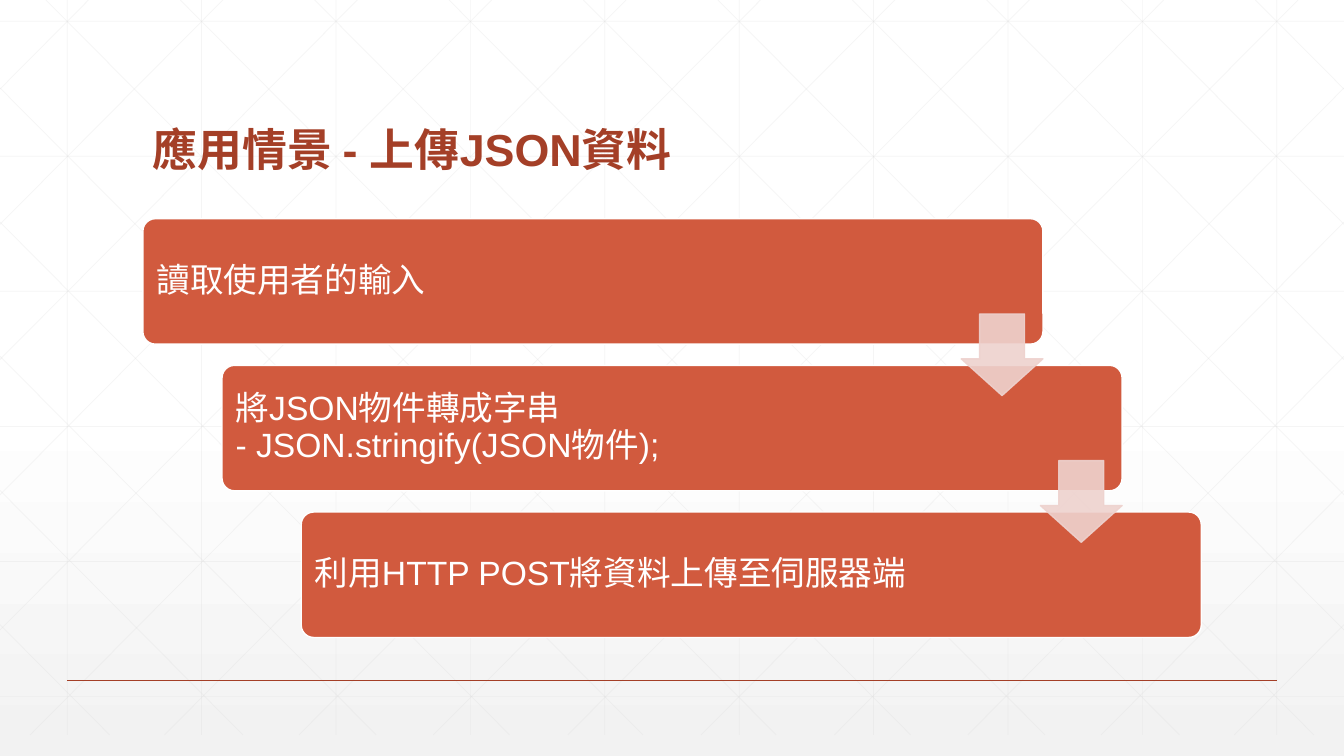
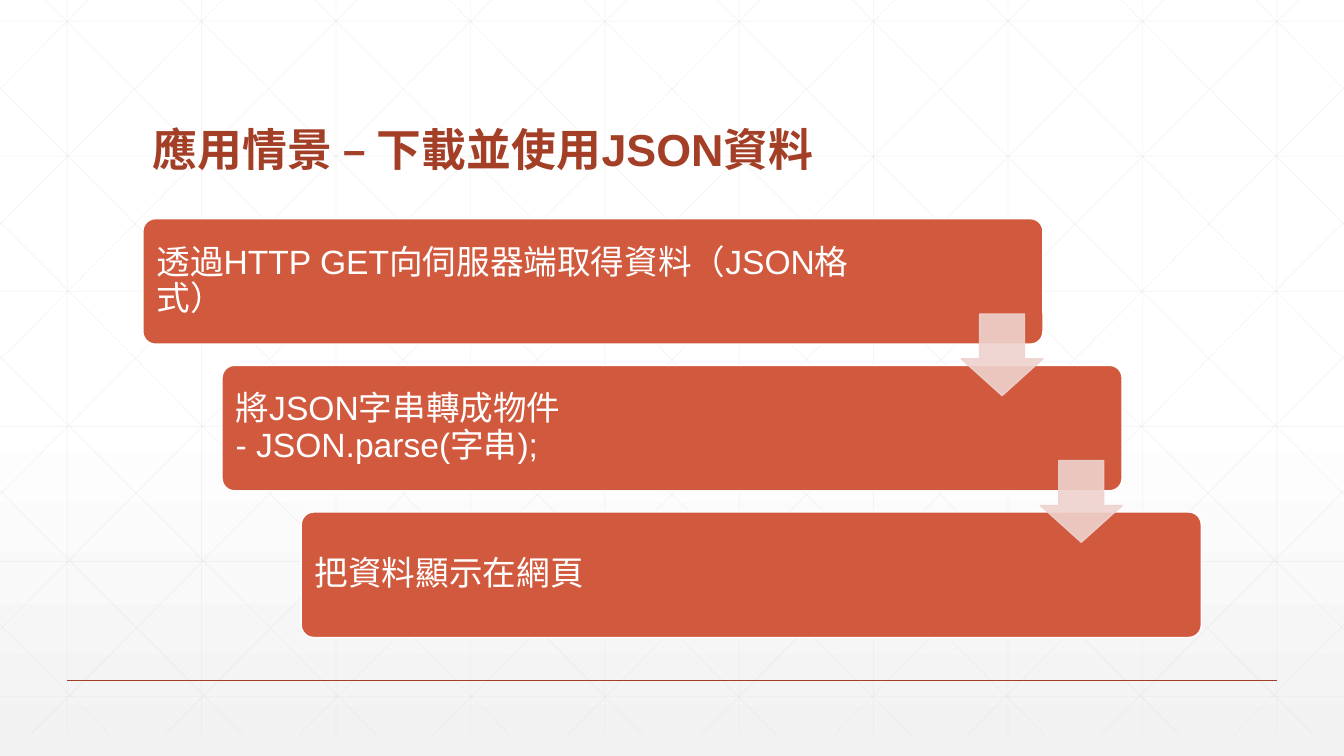
from lxml import etree
from pptx import Presentation
from pptx.dml.color import RGBColor
from pptx.enum.shapes import MSO_CONNECTOR, MSO_SHAPE
from pptx.enum.text import MSO_ANCHOR, MSO_AUTO_SIZE, PP_ALIGN
from pptx.oxml.ns import qn
from pptx.util import Inches, Pt

STRAIGHT = MSO_CONNECTOR.STRAIGHT
ROUNDED, DOWN_ARROW = MSO_SHAPE.ROUNDED_RECTANGLE, MSO_SHAPE.DOWN_ARROW
BOTTOM, MIDDLE = MSO_ANCHOR.BOTTOM, MSO_ANCHOR.MIDDLE
LEFT, NO_AUTOFIT = PP_ALIGN.LEFT, MSO_AUTO_SIZE.NONE

FONT = "Arial"
COLORS = {
    "white": "FFFFFF",
    "mist": "F2F2F2",
    "pattern": "D9D9D9",
    "title": "A43F27",
    "step": "D15A3E",
    "arrow": "EED2CE",
}
WIDTH, HEIGHT = Inches(13.33), Inches(7.5)

# All positions and sizes are percentages of the slide
TITLE_BOX = (10.63, 7.33, 78.75, 16.67)
STEP_LEFT, STEP_TOP = 10.63, 28.93
STEP_WIDTH, STEP_HEIGHT = 66.97, 16.6
STEP_SHIFT, STEP_PITCH = 5.89, 19.4
ARROW_WIDTH, ARROW_HEIGHT = 6.08, 10.8
PATTERN_TOP, PATTERN_BOTTOM = -2.8, 97.2
DIAGONAL_RUN = 55.9

SLIDES = [
    ("應用情景 - 上傳JSON資料", [
        "讀取使用者的輸入",
        "將JSON物件轉成字串 \n- JSON.stringify(JSON物件);",
        "利用HTTP POST將資料上傳至伺服器端",
    ]),
    ("應用情景 – 下載並使用JSON資料", [
        "透過HTTP GET向伺服器端取得資料（JSON格式）",
        "將JSON字串轉成物件 \n- JSON.parse(字串);",
        "把資料顯示在網頁",
    ]),
]


def across(percent):
    return round(WIDTH * percent / 100)


def down(percent):
    return round(HEIGHT * percent / 100)


def place(left, top, width, height):
    return across(left), down(top), across(width), down(height)


def rgb(name):
    return RGBColor.from_string(COLORS[name])


def set_opacity(element, percent):
    """Make every plain colour inside the element translucent."""
    for color in element.iter(qn("a:srgbClr")):
        etree.SubElement(color, qn("a:alpha"), val=str(percent * 1000))


def write_text(frame, text, size, color, anchor, bold=False):
    frame.word_wrap = True
    frame.auto_size = NO_AUTOFIT
    frame.vertical_anchor = anchor
    paragraph = frame.paragraphs[0]
    paragraph.alignment = LEFT
    paragraph.line_spacing = 0.9
    for index, line in enumerate(text.split("\n")):
        if index:
            paragraph.add_line_break()
        run = paragraph.add_run()
        run.text = line
        run.font.name = FONT
        run.font.size = Pt(size)
        run.font.bold = bold
        run.font.color.rgb = rgb(color)


def add_line(slide, start, end, color, weight):
    line = slide.shapes.add_connector(
        STRAIGHT, across(start[0]), down(start[1]), across(end[0]), down(end[1]))
    line.line.color.rgb = rgb(color)
    line.line.width = Pt(weight)
    etree.SubElement(line.element.spPr, qn("a:effectLst"))
    return line


def add_block(slide, preset, box, color, line_color, adjustments):
    shape = slide.shapes.add_shape(preset, *place(*box))
    shape.shadow.inherit = False
    shape.fill.solid()
    shape.fill.fore_color.rgb = rgb(color)
    shape.line.color.rgb = rgb(line_color)
    shape.line.width = Pt(1)
    for index, value in enumerate(adjustments):
        shape.adjustments[index] = value
    return shape


def pattern_segments():
    """Ends of the upright, level and crossing lines of the background."""
    for index in range(10):
        x = 5 + 10 * index
        yield (x, 0), (x, PATTERN_BOTTOM)
    for index in range(6):
        y = 2.8 + 17.87 * index
        yield (0, y), (100, y)
    slope = DIAGONAL_RUN / (PATTERN_BOTTOM - PATTERN_TOP)
    for index in range(-5, 10):
        x_top = 1.85 + index * (10 if index >= 0 else 9.92)
        # Keep each diagonal inside the slide
        y_start = max(0, PATTERN_TOP - x_top / slope)
        y_end = min(PATTERN_BOTTOM, PATTERN_TOP + (100 - x_top) / slope)
        start, end = [(x_top + (y - PATTERN_TOP) * slope, y) for y in (y_start, y_end)]
        yield start, end
        yield (100 - start[0], start[1]), (100 - end[0], end[1])


def style_layout(layout, slide):
    """Give the layout its gradient, line pattern and footer rule."""
    fill = layout.background.fill
    fill.gradient()
    fill.gradient_angle = 270
    for stop, position, color in zip(fill.gradient_stops, (0.53, 1), ("white", "mist")):
        stop.position = position
        stop.color.rgb = rgb(color)
    last_stop = list(layout.element.iter(qn("a:gs")))[-1]
    set_opacity(last_stop, 65)

    lines = []
    for start, end in pattern_segments():
        line = add_line(slide, start, end, "pattern", 0.5)
        set_opacity(line.element, 25)
        lines.append(line)
    lines.append(add_line(slide, (5, 90), (95, 90), "title", 1))
    # Lines can only be made on a slide, so move them to the layout
    for line in lines:
        layout.shapes.element.append(line.element)


def add_title(slide, text):
    title = slide.shapes.title
    title.left, title.top, title.width, title.height = place(*TITLE_BOX)
    write_text(title.text_frame, text, 32, "title", BOTTOM, bold=True)


def add_steps(slide, steps):
    corners = [(STEP_LEFT + STEP_SHIFT * index, STEP_TOP + STEP_PITCH * index)
               for index in range(len(steps))]
    for (left, top), text in zip(corners, steps):
        step = add_block(slide, ROUNDED, (left, top, STEP_WIDTH, STEP_HEIGHT),
                         "step", "white", [0.1])
        frame = step.text_frame
        frame.margin_left = Inches(0.1)
        frame.margin_right = Inches(1.38)
        write_text(frame, text, 24, "white", MIDDLE)
    # Arrows end flush with a step and are centred on the gap below it
    for left, top in corners[:-1]:
        gap_middle = top + (STEP_HEIGHT + STEP_PITCH) / 2
        box = (left + STEP_WIDTH - ARROW_WIDTH, gap_middle - ARROW_HEIGHT / 2,
               ARROW_WIDTH, ARROW_HEIGHT)
        # The head length comes first, the shaft width second
        arrow = add_block(slide, DOWN_ARROW, box, "arrow", "arrow", [0.55, 0.45])
        arrow.adjustments[0], arrow.adjustments[1] = 0.55, 0.45
        set_opacity(arrow.element.spPr, 90)


def main():
    presentation = Presentation()
    presentation.slide_width, presentation.slide_height = WIDTH, HEIGHT
    layout = presentation.slide_layouts.get_by_name("Title Only")
    for index, (title, steps) in enumerate(SLIDES):
        slide = presentation.slides.add_slide(layout)
        if index == 0:
            style_layout(layout, slide)
        add_title(slide, title)
        add_steps(slide, steps)
    presentation.save("out.pptx")


if __name__ == "__main__":
    main()
